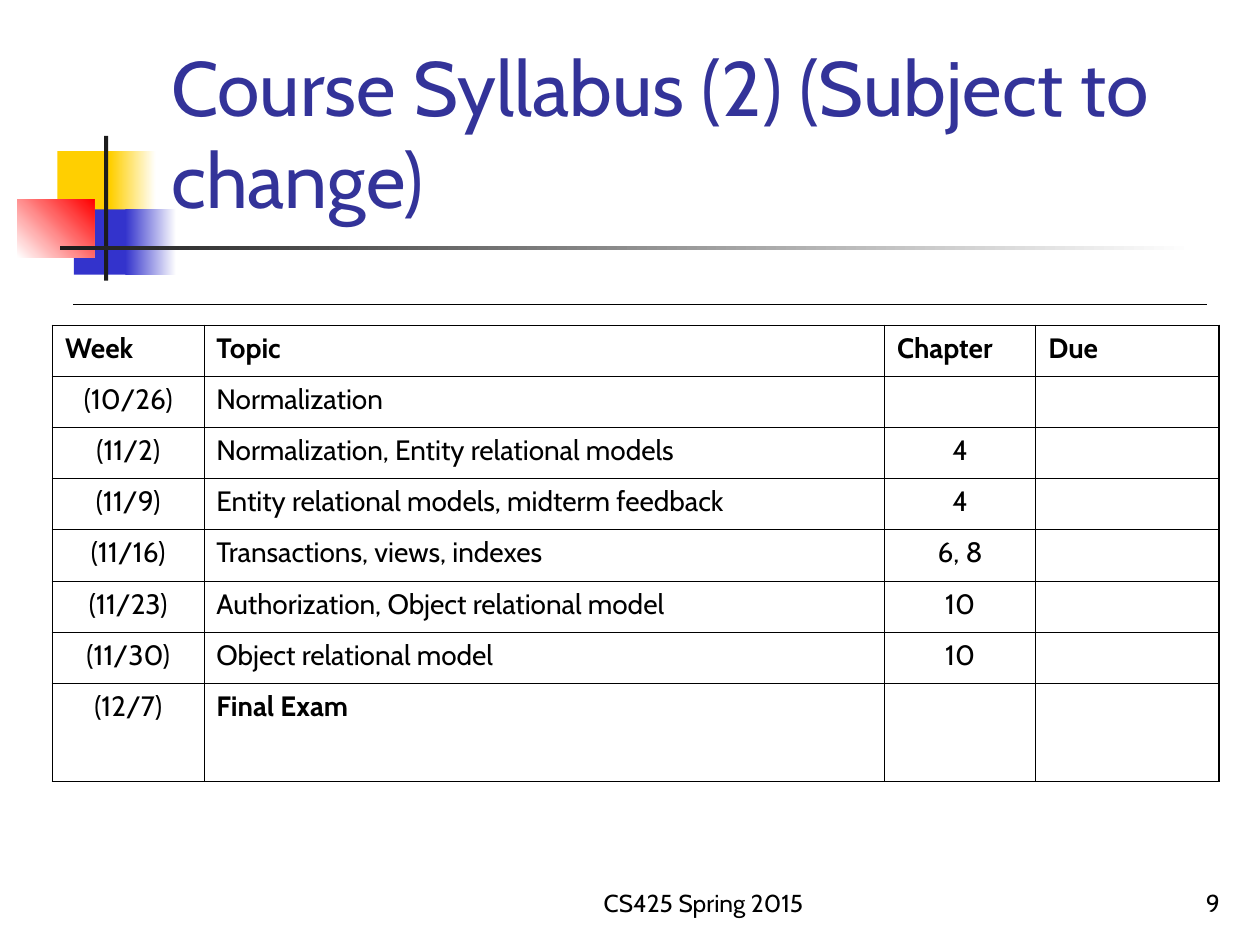
from lxml import etree
from pptx import Presentation, util as u
from pptx.dml.color import RGBColor
from pptx.enum import shapes, text
from pptx.oxml import ns

BLACK = RGBColor(0, 0, 0)
WHITE = RGBColor(255, 255, 255)
YELLOW = RGBColor(0xFF, 0xCF, 0x01)
BLUE = RGBColor(0x33, 0x33, 0xCC)
RED = RGBColor(255, 0, 0)
CHARCOAL = RGBColor(0x1C, 0x1C, 0x1C)
INDIGO = RGBColor(0x33, 0x33, 0x99)
FONT = "Cabin"
LEFT, CENTER, RIGHT = text.PP_ALIGN.LEFT, text.PP_ALIGN.CENTER, text.PP_ALIGN.RIGHT

# Offsets and sizes in cm, fill colours, gradient angle
ORNAMENT = [
    (0.81, 0, 1.22, 1.32, [YELLOW], 0),
    (1.88, 0, 0.91, 1.32, [YELLOW, WHITE], 0),
    (1.14, 1.17, 1.17, 1.32, [BLUE], 0),
    (2.18, 1.17, 1.02, 1.32, [BLUE, WHITE], 0),
    (0, 0.97, 1.55, 1.17, [WHITE, RED], 45),
    (1.75, -0.31, 0.08, 2.92, [CHARCOAL], 0),
    (0.86, 1.9, 22.86, 0.09, [CHARCOAL, WHITE], 0),
]
SYLLABUS = [
    ("Week", "Topic", "Chapter", "Due"),
    ("(10/26)", "Normalization", "", ""),
    ("(11/2)", "Normalization, Entity relational models", "4", ""),
    ("(11/9)", "Entity relational models, midterm feedback", "4", ""),
    ("(11/16)", "Transactions, views, indexes", "6, 8", ""),
    ("(11/23)", "Authorization, Object relational model", "10", ""),
    ("(11/30)", "Object relational model", "10", ""),
    ("(12/7)", "Final Exam", "", ""),
]
COLUMN_WIDTHS = [3.05, 13.72, 3.05, 3.7]
ROW_HEIGHT, LAST_ROW_HEIGHT = 1.03, 1.98
THIN, THICK = 0.45, 1.08


def style_paragraph(para, size, color, align, bold=False):
    """Align a paragraph and format its runs."""
    para.alignment = align
    for span in para.runs:
        span.font.name = FONT
        span.font.size = u.Pt(size)
        span.font.bold = bold
        span.font.color.rgb = color


def add_text(page, box, words, size, color, align):
    """Place a bottom-anchored, wrapping text box."""
    frame = page.shapes.add_textbox(*map(u.Cm, box)).text_frame
    frame.word_wrap = True
    frame.vertical_anchor = text.MSO_ANCHOR.BOTTOM
    frame.text = words
    style_paragraph(frame.paragraphs[0], size, color, align)


def add_ornament(page, left, top):
    """Draw the coloured blocks and bars from their common corner."""
    for x, y, width, height, colors, angle in ORNAMENT:
        block = page.shapes.add_shape(
            shapes.MSO_SHAPE.RECTANGLE,
            u.Cm(left + x), u.Cm(top + y), u.Cm(width), u.Cm(height))
        block.shadow.inherit = False
        block.line.fill.background()
        if len(colors) == 1:
            block.fill.solid()
            block.fill.fore_color.rgb = colors[0]
        else:
            block.fill.gradient()
            block.fill.gradient_angle = angle
            for stop, color in zip(block.fill.gradient_stops, colors):
                stop.color.rgb = color


def add_rule(page, left, top, width):
    """Draw the thin horizontal line above the table."""
    rule = page.shapes.add_connector(
        shapes.MSO_CONNECTOR.STRAIGHT,
        u.Cm(left), u.Cm(top), u.Cm(left + width), u.Cm(top))
    rule.line.color.rgb = BLACK
    rule.line.width = u.Pt(0.74)
    etree.SubElement(rule._element.spPr, ns.qn("a:effectLst"))


def set_borders(cell, widths):
    """Give a cell black borders, with widths in points by side."""
    properties = cell._tc.get_or_add_tcPr()
    for index, (side, width) in enumerate(widths.items()):
        border = etree.Element(ns.qn("a:ln" + side), w=str(u.Pt(width)))
        fill = etree.SubElement(border, ns.qn("a:solidFill"))
        etree.SubElement(fill, ns.qn("a:srgbClr"), val=str(BLACK))
        properties.insert(index, border)


def add_syllabus(page, left, top):
    """Build the syllabus table."""
    last_row, last_column = len(SYLLABUS) - 1, len(COLUMN_WIDTHS) - 1
    heights = [ROW_HEIGHT] * last_row + [LAST_ROW_HEIGHT]
    table = page.shapes.add_table(
        len(heights), len(COLUMN_WIDTHS), u.Cm(left), u.Cm(top),
        u.Cm(sum(COLUMN_WIDTHS)), u.Cm(sum(heights))).table
    table.first_row = table.horz_banding = False
    for column, width in zip(table.columns, COLUMN_WIDTHS):
        column.width = u.Cm(width)
    for r, (values, height) in enumerate(zip(SYLLABUS, heights)):
        table.rows[r].height = u.Cm(height)
        for c, value in enumerate(values):
            cell = table.cell(r, c)
            cell.fill.background()
            set_borders(cell, {
                "L": THICK if c == 0 else THIN,
                "R": THICK if c == last_column else THIN,
                "T": THICK if r == 0 else THIN,
                "B": THIN,
            })
            if value:
                cell.text_frame.text = value
                para = cell.text_frame.paragraphs[0]
                para.space_before = u.Pt(4)
                bold = r == 0 or value == "Final Exam"
                align = CENTER if r > 0 and c != 1 else LEFT
                style_paragraph(para, 16, BLACK, align, bold)


def build_syllabus_slide(deck):
    """Compose the whole syllabus page."""
    page = deck.slides.add_slide(deck.slide_layouts[6])
    add_ornament(page, 0.35, 3.05)
    add_text(page, (10.16, 17.35, 8.05, 1.27), "CS425 Spring 2015", 14, BLACK, CENTER)
    add_text(page, (19.56, 17.35, 5.28, 1.27), "9", 14, BLACK, RIGHT)
    add_text(page, (3.2, 0.58, 21.64, 4.06),
             "Course Syllabus (2) (Subject to change)", 44, INDIGO, LEFT)
    add_syllabus(page, 1.06, 6.56)
    add_rule(page, 1.48, 6.14, 22.86)


deck = Presentation()
deck.slide_width, deck.slide_height = u.Cm(25.4), u.Cm(19.05)
build_syllabus_slide(deck)
deck.save("out.pptx")
